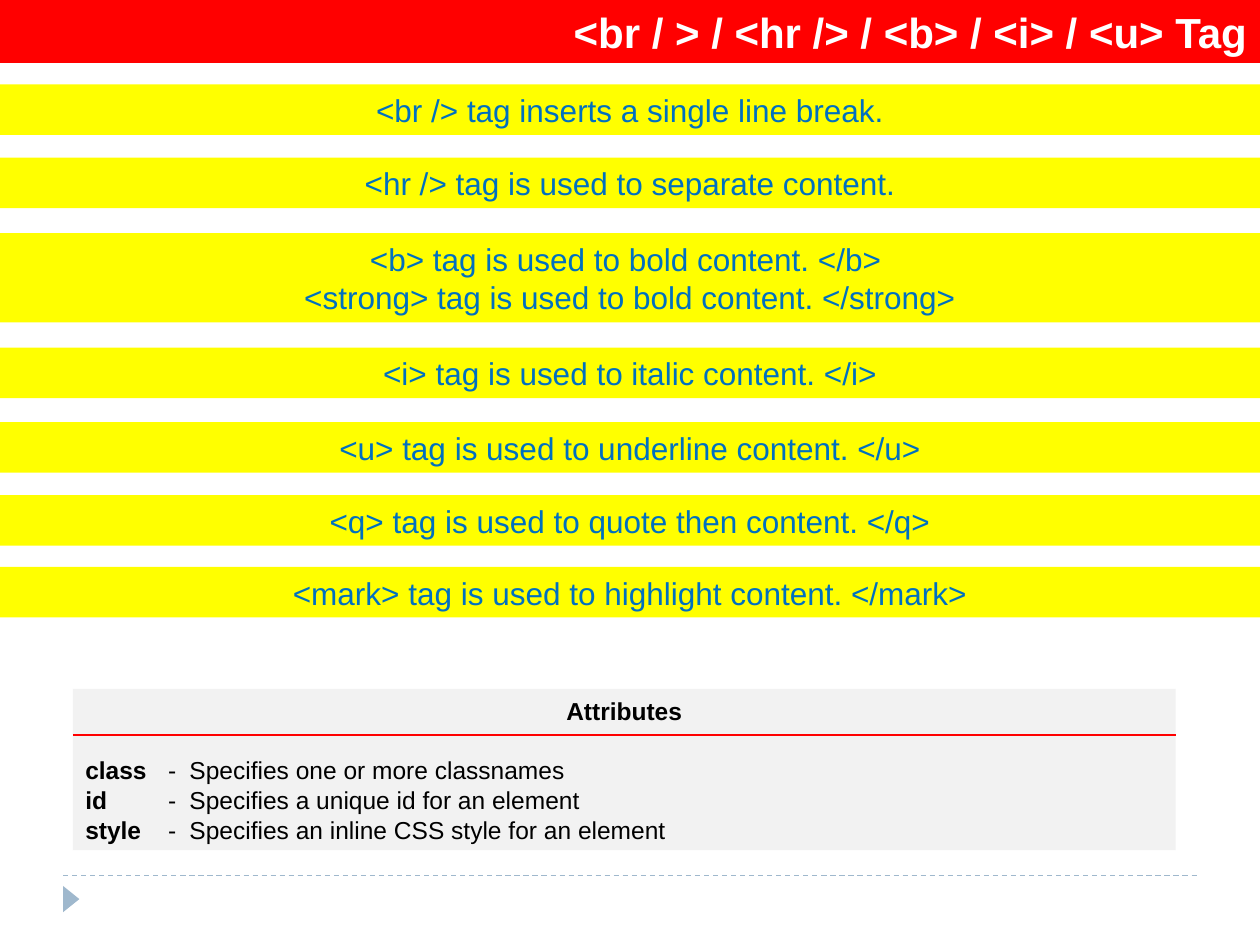
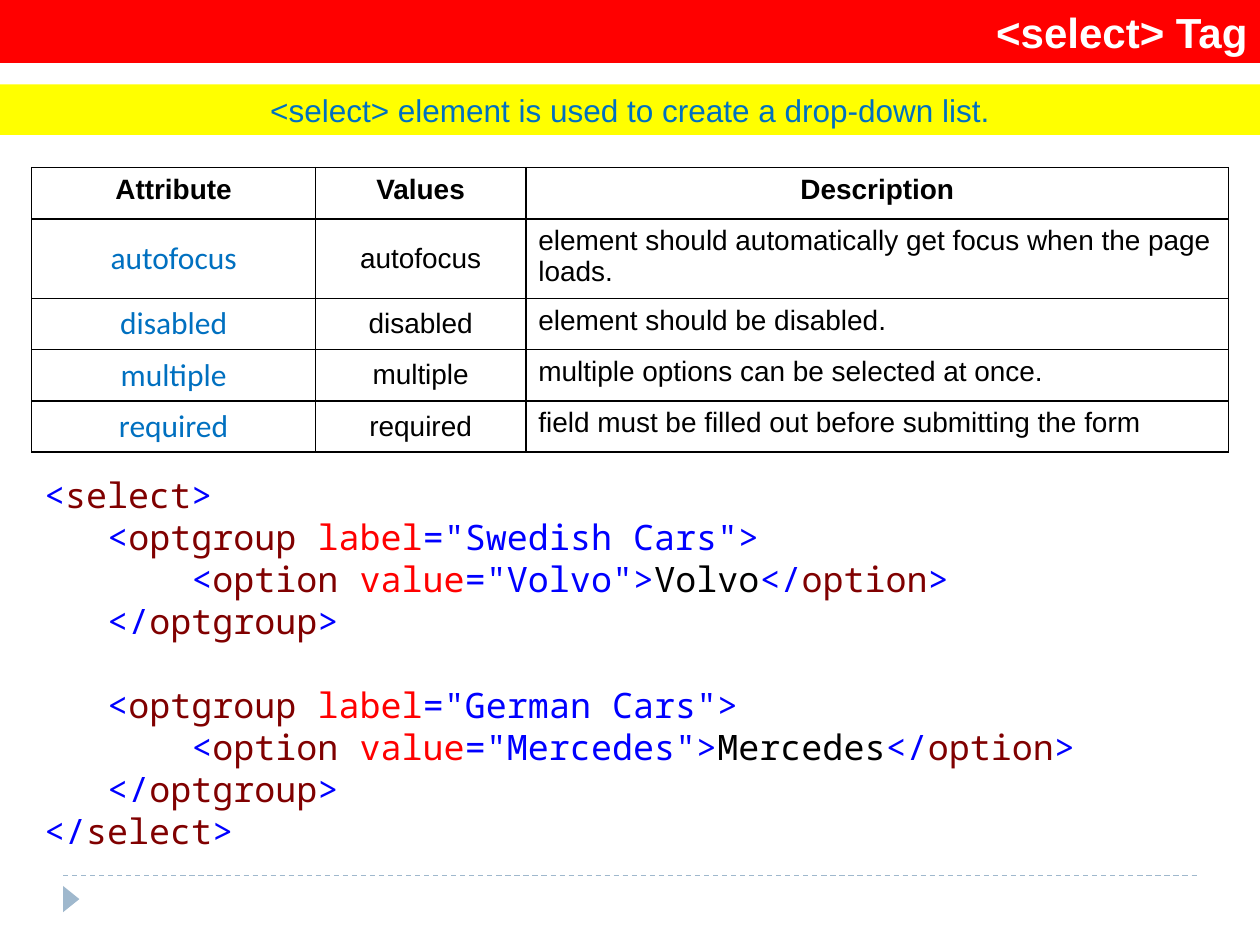
"""Build two HTML reference slides: text formatting tags and the select tag."""
from collections.abc import Iterator
from dataclasses import dataclass

from lxml import etree
from pptx import Presentation
from pptx.dml.color import RGBColor
from pptx.enum.dml import MSO_LINE
from pptx.enum.shapes import MSO_CONNECTOR, MSO_SHAPE
from pptx.enum.text import MSO_ANCHOR, PP_ALIGN
from pptx.oxml.ns import qn
from pptx.util import Cm, Pt

STRAIGHT = MSO_CONNECTOR.STRAIGHT
RECTANGLE, TRIANGLE = MSO_SHAPE.RECTANGLE, MSO_SHAPE.ISOSCELES_TRIANGLE
LEFT, CENTER, RIGHT = PP_ALIGN.LEFT, PP_ALIGN.CENTER, PP_ALIGN.RIGHT
TOP, MIDDLE = MSO_ANCHOR.TOP, MSO_ANCHOR.MIDDLE
DASH = MSO_LINE.DASH

WHITE = RGBColor(0xFF, 0xFF, 0xFF)
BLACK = RGBColor(0x00, 0x00, 0x00)
RED = RGBColor(0xFF, 0x00, 0x00)
YELLOW = RGBColor(0xFF, 0xFF, 0x00)
SKY = RGBColor(0x00, 0x70, 0xC0)
PALE_GREY = RGBColor(0xF2, 0xF2, 0xF2)
STEEL = RGBColor(0x9F, 0xB8, 0xCD)
CODE_BLUE = RGBColor(0x00, 0x00, 0xFF)
CODE_MAROON = RGBColor(0x80, 0x00, 0x00)

SANS, BODY, MONO = "Arial", "Calibri", "Noto Sans Mono"
SLIDE_WIDTH, SLIDE_HEIGHT = 25.4, 19.05


@dataclass(frozen=True)
class Style:
    """Look of a piece of text; leading is the line height in points."""
    size: float
    color: RGBColor = BLACK
    font: str = SANS
    bold: bool = False
    align: PP_ALIGN = LEFT
    leading: float | None = None


@dataclass(frozen=True)
class Band:
    """Full-width strip with centred statements, placed in centimetres."""
    top: float
    lines: tuple[str, ...]
    height: float = 1.02


TITLE = Style(24, WHITE, bold=True, align=RIGHT, leading=29)
STATEMENT = Style(18, SKY, align=CENTER, leading=21.8)
PANEL_HEADING = Style(14, bold=True, align=CENTER, leading=17)
PANEL_TERM = Style(14, bold=True, leading=17)
PANEL_MEANING = Style(14, leading=17)
HEADER_CELL = Style(16, bold=True, align=CENTER, leading=17.8)
NAME_CELL = Style(18, SKY, BODY, align=CENTER)
VALUE_CELL = Style(16, align=CENTER, leading=17.8)
DESCRIPTION_CELL = Style(16, leading=17.8)
CODE_LEADING = 24

FORMATTING_BANDS = (
    Band(1.7, ("<br /> tag inserts a single line break.",)),
    Band(3.18, ("<hr /> tag is used to separate content.",)),
    Band(4.7, ("<b> tag is used to bold content. </b> ",
               "<strong> tag is used to bold content. </strong>"), 1.8),
    Band(7.01, ("<i> tag is used to italic content. </i>",)),
    Band(8.51, ("<u> tag is used to underline content. </u>",)),
    Band(9.98, ("<q> tag is used to quote then content. </q>",)),
    Band(11.43, ("<mark> tag is used to highlight content. </mark>",)),
)
SELECT_BAND = Band(1.7, ("<select> element is used to create a drop-down list.",))
GLOBAL_ATTRIBUTES = (
    ("class", "Specifies one or more classnames"),
    ("id", "Specifies a unique id for an element"),
    ("style", "Specifies an inline CSS style for an element"),
)
SELECT_HEADER = ("Attribute", "Values", "Description")
SELECT_ATTRIBUTES = (
    ("autofocus", "element should automatically get focus when the page loads."),
    ("disabled", "element should be disabled."),
    ("multiple", "multiple options can be selected at once."),
    ("required", "field must be filled out before submitting the form"),
)
SELECT_CODE = """<select>
   <optgroup label="Swedish Cars">
       <option value="Volvo">Volvo</option>
   </optgroup>

   <optgroup label="German Cars">
       <option value="Mercedes">Mercedes</option>
   </optgroup>
</select>"""


def format_run(run, style: Style) -> None:
    """Apply font, size, weight and colour to a run."""
    run.font.name = style.font
    run.font.size = Pt(style.size)
    run.font.bold = style.bold
    run.font.color.rgb = style.color


def write(paragraph, text: str, style: Style) -> None:
    """Fill a paragraph with one styled text."""
    paragraph.text = text
    paragraph.alignment = style.align
    if style.leading:
        paragraph.line_spacing = Pt(style.leading)
    for run in paragraph.runs:
        format_run(run, style)


def next_paragraph(frame, index: int):
    """Return the first paragraph of a frame or append a further one."""
    return frame.add_paragraph() if index else frame.paragraphs[0]


def add_block(slide, kind: MSO_SHAPE, left: float, top: float,
              width: float, height: float, fill: RGBColor):
    """Draw a flat, borderless shape."""
    block = slide.shapes.add_shape(kind, Cm(left), Cm(top), Cm(width), Cm(height))
    block.shadow.inherit = False
    block.fill.solid()
    block.fill.fore_color.rgb = fill
    block.line.fill.background()
    block.text_frame.word_wrap = True
    return block


def add_rule(slide, left: float, right: float, y: float,
             color: RGBColor, weight: float):
    """Draw a horizontal line without a shadow."""
    rule = slide.shapes.add_connector(STRAIGHT, Cm(left), Cm(y), Cm(right), Cm(y))
    rule.line.color.rgb = color
    rule.line.width = Pt(weight)
    etree.SubElement(rule._element.spPr, qn("a:effectLst"))
    return rule


def add_strip(slide, band: Band, fill: RGBColor, style: Style) -> None:
    """Draw a full-width strip of text."""
    strip = add_block(slide, RECTANGLE, 0, band.top, SLIDE_WIDTH, band.height, fill)
    strip.text_frame.vertical_anchor = MIDDLE
    for index, line in enumerate(band.lines):
        write(next_paragraph(strip.text_frame, index), line, style)


def add_base_slide(deck, title: str):
    """Add a slide with the shared footer and title strip."""
    slide = deck.slides.add_slide(deck.slide_layouts[6])
    add_rule(slide, 1.27, 24.13, 17.65, STEEL, 0.75).line.dash_style = DASH
    marker = add_block(slide, TRIANGLE, 1.17, 17.96, 0.53, 0.33, STEEL)
    marker.rotation = 90
    add_strip(slide, Band(0, (title,), 1.27), RED, TITLE)
    return slide


def set_tabs(paragraph, *positions: float) -> None:
    """Give a paragraph left tab stops at centimetre positions."""
    tabs = etree.SubElement(paragraph._p.get_or_add_pPr(), qn("a:tabLst"))
    for position in positions:
        etree.SubElement(tabs, qn("a:tab"), pos=str(Cm(position)), algn="l")


def add_attribute_panel(slide) -> None:
    """Draw the panel that explains the global attributes."""
    left, top, width = 1.47, 13.89, 22.23
    panel = add_block(slide, RECTANGLE, left, top, width, 3.25, PALE_GREY)
    frame = panel.text_frame
    frame.vertical_anchor = TOP
    write(frame.paragraphs[0], "Attributes", PANEL_HEADING)
    for index, (term, meaning) in enumerate(GLOBAL_ATTRIBUTES):
        entry = frame.add_paragraph()
        set_tabs(entry, 1.67, 2.1)
        write(entry, term, PANEL_TERM)
        explanation = entry.add_run()
        explanation.text = f"\t-\t{meaning}"
        format_run(explanation, PANEL_MEANING)
        if index == 0:
            entry.space_before = Pt(PANEL_MEANING.leading)
    add_rule(slide, left, left + width, top + 0.93, RED, 1)


def outline_cell(cell) -> None:
    """Clear the fill of a cell and draw thin black borders."""
    cell.fill.background()
    properties = cell._tc.get_or_add_tcPr()
    for index, side in enumerate(("lnL", "lnR", "lnT", "lnB")):
        border = etree.Element(qn(f"a:{side}"), w=str(Pt(1)))
        solid = etree.SubElement(border, qn("a:solidFill"))
        etree.SubElement(solid, qn("a:srgbClr"), val=str(BLACK))
        properties.insert(index, border)


def add_attribute_table(slide) -> None:
    """Draw the table of attributes of the select tag."""
    widths = (5.72, 4.24, 14.17)
    heights = (1.03, 1.61, 1.03, 1.03, 1.03)
    rows = [SELECT_HEADER] + [(name, name, text) for name, text in SELECT_ATTRIBUTES]
    table = slide.shapes.add_table(len(rows), len(widths), Cm(0.64), Cm(3.38),
                                   Cm(sum(widths)), Cm(sum(heights))).table
    table.first_row = table.horz_banding = False
    for column, width in zip(table.columns, widths):
        column.width = Cm(width)
    for row, height in zip(table.rows, heights):
        row.height = Cm(height)
    body_styles = (NAME_CELL, VALUE_CELL, DESCRIPTION_CELL)
    for row_index, texts in enumerate(rows):
        for column_index, text in enumerate(texts):
            cell = table.cell(row_index, column_index)
            style = body_styles[column_index] if row_index else HEADER_CELL
            write(cell.text_frame.paragraphs[0], text, style)
            cell.vertical_anchor = MIDDLE if style in (NAME_CELL, VALUE_CELL) else TOP
            outline_cell(cell)


def colored_tokens(line: str) -> Iterator[tuple[str, RGBColor]]:
    """Split a line of HTML into tokens with their syntax colours."""
    indent, *tags = line.split("<")
    yield indent, BLACK
    for tag in tags:
        body, _, content = tag.partition(">")
        slash = "/" if body.startswith("/") else ""
        name, gap, attribute = body.removeprefix("/").partition(" ")
        key, equals, value = attribute.partition("=")
        yield "<" + slash, CODE_BLUE
        yield name + gap, CODE_MAROON
        yield key, RED
        yield equals + value + ">", CODE_BLUE
        yield content, BLACK


def add_code(slide, code: str) -> None:
    """Write highlighted code, showing an empty line as space before the next."""
    listing = slide.shapes.add_textbox(Cm(0.64), Cm(9.42), Cm(24.13), Cm(7.95))
    frame = listing.text_frame
    frame.word_wrap = True
    lines = code.splitlines()
    for index, line in enumerate(lines):
        if not line:
            continue
        paragraph = next_paragraph(frame, index)
        paragraph.line_spacing = Pt(CODE_LEADING)
        if index and not lines[index - 1]:
            paragraph.space_before = Pt(CODE_LEADING)
        for text, color in colored_tokens(line):
            if text:
                run = paragraph.add_run()
                run.text = text
                format_run(run, Style(20, color, MONO))


def main() -> None:
    """Build and save the deck."""
    deck = Presentation()
    deck.slide_width, deck.slide_height = Cm(SLIDE_WIDTH), Cm(SLIDE_HEIGHT)

    formatting = add_base_slide(deck, "<br / > / <hr /> / <b> / <i> / <u> Tag")
    for band in FORMATTING_BANDS:
        add_strip(formatting, band, YELLOW, STATEMENT)
    add_attribute_panel(formatting)

    select = add_base_slide(deck, "<select> Tag")
    add_strip(select, SELECT_BAND, YELLOW, STATEMENT)
    add_attribute_table(select)
    add_code(select, SELECT_CODE)

    deck.save("out.pptx")


if __name__ == "__main__":
    main()
